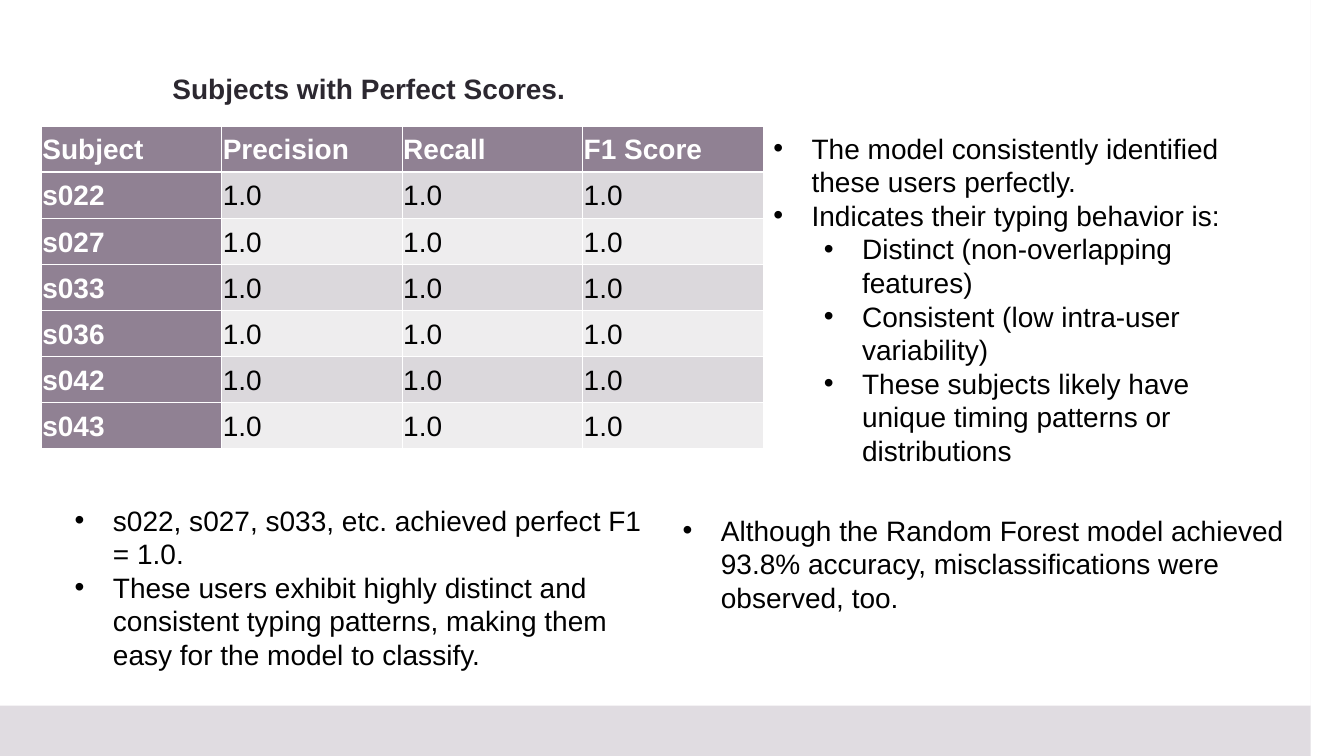
"""Build the slide on subjects with perfect scores."""
from dataclasses import dataclass

from lxml.etree import SubElement
from pptx import Presentation
from pptx.dml.color import RGBColor
from pptx.enum.text import MSO_ANCHOR as Anchor, MSO_AUTO_SIZE as AutoSize, PP_ALIGN as Align
from pptx.oxml.ns import qn
from pptx.util import Inches, Pt


@dataclass(frozen=True)
class Theme:
    font: str = "Arial"
    size: int = 20
    frame: str = "E0DCE1"
    title: str = "2C2830"
    text: str = "000000"
    header: str = "908193"
    header_text: str = "FFFFFF"
    bands: tuple[str, str] = ("DBD8DC", "EEEDEE")


@dataclass(frozen=True)
class Box:
    left: float
    top: float
    width: float
    height: float

    def emu(self) -> tuple:
        return tuple(Inches(v) for v in (self.left, self.top, self.width, self.height))


@dataclass(frozen=True)
class Findings:
    holder: int
    box: Box
    points: tuple[tuple[int, str], ...]


THEME = Theme()
WIDTH, HEIGHT = 13.33, 7.5
TITLE_BOX = Box(1.61, 0.58, 4.12, 0.55)
TABLE_BOX = Box(0.41, 1.25, 7.16, 3.2)
COLUMNS = ("Subject", "Precision", "Recall", "F1 Score")
SUBJECTS = ("s022", "s027", "s033", "s036", "s042", "s043")
FINDINGS = (
    Findings(1, Box(7.57, 1.25, 4.8, 3.13), (
        (0, "The model consistently identified these users perfectly."),
        (0, "Indicates their typing behavior is:"),
        (1, "Distinct (non-overlapping features)"),
        (1, "Consistent (low intra-user variability)"),
        (1, "These subjects likely have unique timing patterns or distributions"),
    )),
    Findings(2, Box(0.64, 4.94, 6.02, 1.45), (
        (0, "s022, s027, s033, etc. achieved perfect F1 = 1.0."),
        (0, "These users exhibit highly distinct and consistent typing patterns, "
            "making them easy for the model to classify."),
    )),
    Findings(4, Box(6.67, 5.04, 6.18, 1.11), (
        (0, "Although the Random Forest model achieved 93.8% accuracy, "
            "misclassifications were observed, too."),
    )),
)


def style(paragraph, color: str, bold: bool = False) -> None:
    """Apply the theme font to a paragraph."""
    font = paragraph.font
    font.name, font.size, font.bold = THEME.font, Pt(THEME.size), bold
    font.color.rgb = RGBColor.from_string(color)


def place(holder, box: Box, anchor: Anchor):
    """Move a placeholder and return its text frame."""
    holder.left, holder.top, holder.width, holder.height = box.emu()
    frame = holder.text_frame
    frame.word_wrap, frame.auto_size = True, AutoSize.NONE
    frame.vertical_anchor = anchor
    return frame


def add_frame(slide) -> None:
    """Draw the border around the slide."""
    left, top, right, bottom = 0.18, 0.17, 13.16, 7.33
    builder = slide.shapes.build_freeform(0, 0, scale=Inches(1))
    builder.add_line_segments([(WIDTH, 0), (WIDTH, HEIGHT), (0, HEIGHT)])
    builder.move_to(left, top)
    builder.add_line_segments([(left, bottom), (right, bottom), (right, top)])
    border = builder.convert_to_shape()
    border.shadow.inherit = False
    border.fill.solid()
    border.fill.fore_color.rgb = RGBColor.from_string(THEME.frame)
    border.line.fill.background()


def add_title(slide) -> None:
    """Fill the title."""
    heading = place(slide.shapes.title, TITLE_BOX, Anchor.MIDDLE).paragraphs[0]
    heading.text = "Subjects with Perfect Scores."
    heading.alignment, heading.line_spacing = Align.LEFT, 1.1
    style(heading, THEME.title, True)


def add_scores(slide) -> None:
    """Add the score table."""
    rows = [COLUMNS] + [(subject, "1.0", "1.0", "1.0") for subject in SUBJECTS]
    scores = slide.shapes.add_table(len(rows), len(COLUMNS), *TABLE_BOX.emu()).table
    scores.first_col = True
    for r, values in enumerate(rows):
        for c, value in enumerate(values):
            cell = scores.cell(r, c)
            is_header = r == 0 or c == 0
            fill = THEME.header if is_header else THEME.bands[(r - 1) % 2]
            cell.fill.solid()
            cell.fill.fore_color.rgb = RGBColor.from_string(fill)
            cell.vertical_anchor = Anchor.MIDDLE
            cell.margin_left = cell.margin_right = Inches(0.01)
            cell.margin_top = cell.margin_bottom = Inches(0.01)
            entry = cell.text_frame.paragraphs[0]
            entry.text = value
            entry.line_spacing, entry.space_after = 1.07, Pt(8)
            style(entry, THEME.header_text if is_header else THEME.text, is_header)


def add_findings(slide, findings: Findings) -> None:
    """Fill a body placeholder with bulleted findings."""
    frame = place(slide.placeholders[findings.holder], findings.box, Anchor.TOP)
    for i, (level, words) in enumerate(findings.points):
        point = frame.add_paragraph() if i else frame.paragraphs[0]
        point.text, point.level = words, level
        point.space_before, point.line_spacing = Pt(0), 1.0
        properties = point._p.get_or_add_pPr()
        properties.set("marL", str(Inches(0.38 + 0.5 * level)))
        properties.set("indent", str(Inches(-0.38)))
        SubElement(properties, qn("a:buFont")).set("typeface", THEME.font)
        SubElement(properties, qn("a:buChar")).set("char", "•")
        style(point, THEME.text)


def main() -> None:
    """Assemble and save the slide."""
    deck = Presentation()
    deck.slide_width, deck.slide_height = Inches(WIDTH), Inches(HEIGHT)
    slide = deck.slides.add_slide(deck.slide_layouts.get_by_name("Comparison"))
    add_frame(slide)
    add_title(slide)
    add_scores(slide)
    for findings in FINDINGS:
        add_findings(slide, findings)
    unused = slide.placeholders[3].element
    unused.getparent().remove(unused)
    deck.save("out.pptx")


if __name__ == "__main__":
    main()
